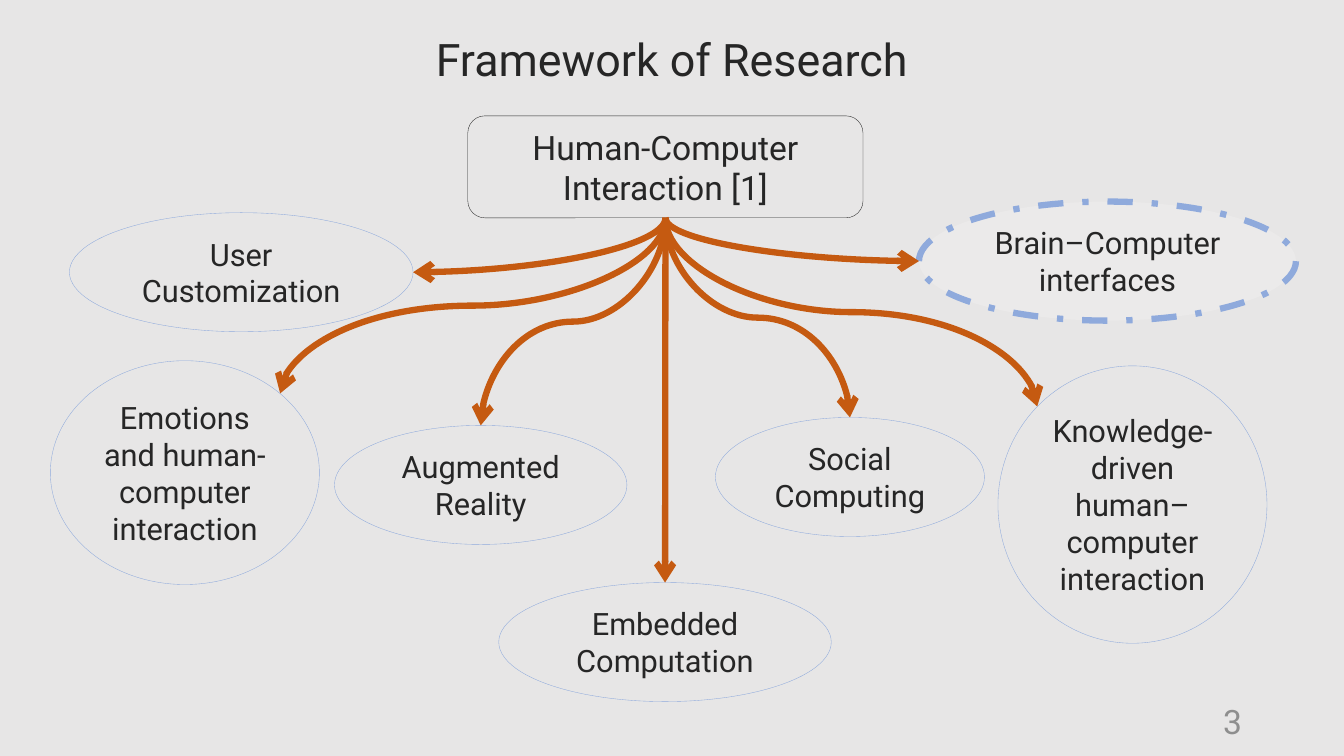
import lxml.etree
import pptx
import pptx.dml.color
import pptx.enum.dml
import pptx.enum.shapes
import pptx.enum.text
import pptx.oxml.ns
import pptx.util

Cm = pptx.util.Cm
Pt = pptx.util.Pt
RGBColor = pptx.dml.color.RGBColor
Shape = pptx.enum.shapes.MSO_SHAPE
Connector = pptx.enum.shapes.MSO_CONNECTOR
Align = pptx.enum.text.PP_ALIGN
Anchor = pptx.enum.text.MSO_ANCHOR
qn = pptx.oxml.ns.qn

BACKGROUND = RGBColor(0xE7, 0xE6, 0xE6)
INK = RGBColor(0x26, 0x26, 0x26)
OUTLINE = RGBColor(0x8F, 0xAA, 0xDC)
HIGHLIGHT = RGBColor(0xEB, 0xEA, 0xEA)
ARROW = RGBColor(0xC5, 0x5A, 0x11)
NUMBER = RGBColor(0x8E, 0x8E, 0x8E)
FONT = "Roboto"

TOP, LEFT, RIGHT = (0.5, 0), (0, 0.5), (1, 0.5)
TOP_LEFT, TOP_RIGHT = (0.146, 0.146), (0.854, 0.146)

ROOT_BOX = (11.79, 2.92, 9.96, 2.57)
TOPICS = [
    ("User Customization", (1.75, 5.36, 8.66, 3), RIGHT),
    ("Knowledge-driven human–computer interaction", (25.15, 9.22, 6.78, 6.99), TOP_LEFT),
    ("Embedded Computation", (12.57, 14.68, 8.38, 3), TOP),
    ("Augmented Reality", (8.43, 10.72, 7.37, 3), TOP),
    ("Social Computing", (18.03, 10.52, 6.78, 3), TOP),
    ("Emotions and human-computer interaction", (1.27, 9.09, 6.78, 5.64), TOP_RIGHT),
    ("Brain–Computer interfaces", (23.16, 5.08, 9.5, 3), LEFT),
]
HIGHLIGHTED = "Brain–Computer interfaces"


def write_text(shape, text, size, color=INK, align=Align.CENTER):
    frame = shape.text_frame
    frame.text = text
    frame.word_wrap = True
    frame.vertical_anchor = Anchor.MIDDLE
    para = frame.paragraphs[0]
    para.alignment = align
    font = para.runs[0].font
    font.name = FONT
    font.size = Pt(size)
    font.color.rgb = color
    return para


def add_title(page, box):
    title = page.shapes.title
    title.left, title.top, title.width, title.height = map(Cm, box)
    write_text(title, "Framework of Research", 32).line_spacing = 0.9


def add_node(page, kind, box, text, size, color):
    node = page.shapes.add_shape(kind, *map(Cm, box))
    node.shadow.inherit = False
    node.fill.background()
    node.line.color.rgb = color
    node.line.width = Pt(0.25)
    write_text(node, text, size)
    return node


def highlight(node):
    node.fill.solid()
    node.fill.fore_color.rgb = HIGHLIGHT
    node.line.width = Pt(4.5)
    node.line.dash_style = pptx.enum.dml.MSO_LINE.DASH_DOT


def bend(link, start, end, preset):
    start_x, start_y = start
    end_x, end_y = end
    length, spread = abs(end_y - start_y), abs(end_x - start_x)
    link.left = (start_x + end_x - length) // 2
    link.top = (start_y + end_y - spread) // 2
    link.width, link.height = length, spread
    properties = link._element.spPr
    properties.find(qn("a:prstGeom")).set("prst", preset)
    frame = properties.find(qn("a:xfrm"))
    for flip in ("flipH", "flipV"):
        frame.attrib.pop(flip, None)
    if end_x < start_x:
        frame.set("rot", str(90 * 60000))
    else:
        frame.set("rot", str(270 * 60000))
        frame.set("flipH", "1")


def add_arrow(page, root, topic, site):
    start = (root.left + root.width // 2, root.top + root.height)
    end = (topic.left + int(topic.width * site[0]), topic.top + int(topic.height * site[1]))
    straight = abs(end[0] - start[0]) < Cm(0.1)
    kind = Connector.STRAIGHT if straight else Connector.CURVE
    link = page.shapes.add_connector(kind, *start, *end)
    if straight:
        link.begin_connect(root, 2)
        link.end_connect(topic, 0)
    else:
        sideways = site in (LEFT, RIGHT)
        bend(link, start, end, "curvedConnector2" if sideways else "curvedConnector3")
    link.line.color.rgb = ARROW
    link.line.width = Pt(4.5)
    lxml.etree.SubElement(link.line._get_or_add_ln(), qn("a:tailEnd"), type="arrow")
    lxml.etree.SubElement(link._element.spPr, qn("a:effectLst"))


def add_framework(page):
    root = add_node(page, Shape.ROUNDED_RECTANGLE, ROOT_BOX, "Human-Computer Interaction [1]", 24, INK)
    branches = []
    for text, box, site in TOPICS:
        topic = add_node(page, Shape.OVAL, box, text, 22, OUTLINE)
        if text == HIGHLIGHTED:
            highlight(topic)
        branches.append((topic, site))
    for topic, site in branches:
        add_arrow(page, root, topic, site)


def add_page_number(page, box):
    number = page.shapes.add_textbox(*map(Cm, box))
    write_text(number, "3", 24, NUMBER, Align.RIGHT)


def main():
    deck = pptx.Presentation()
    deck.slide_width, deck.slide_height = Cm(33.87), Cm(19.05)
    page = deck.slides.add_slide(deck.slide_layouts[5])
    page.background.fill.solid()
    page.background.fill.fore_color.rgb = BACKGROUND
    add_title(page, (2.33, 0.64, 29.21, 1.85))
    add_framework(page)
    add_page_number(page, (23.93, 17.65, 7.62, 1.02))
    deck.save("out.pptx")


if __name__ == "__main__":
    main()
